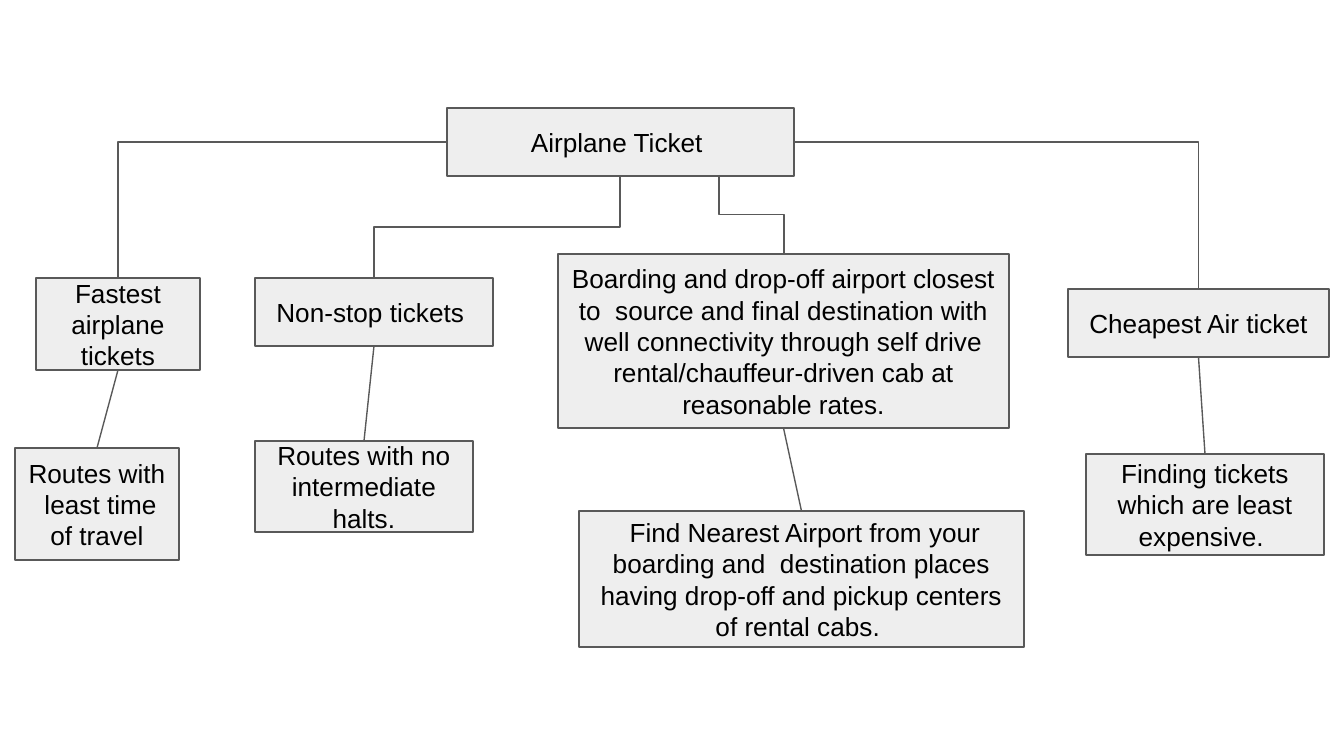
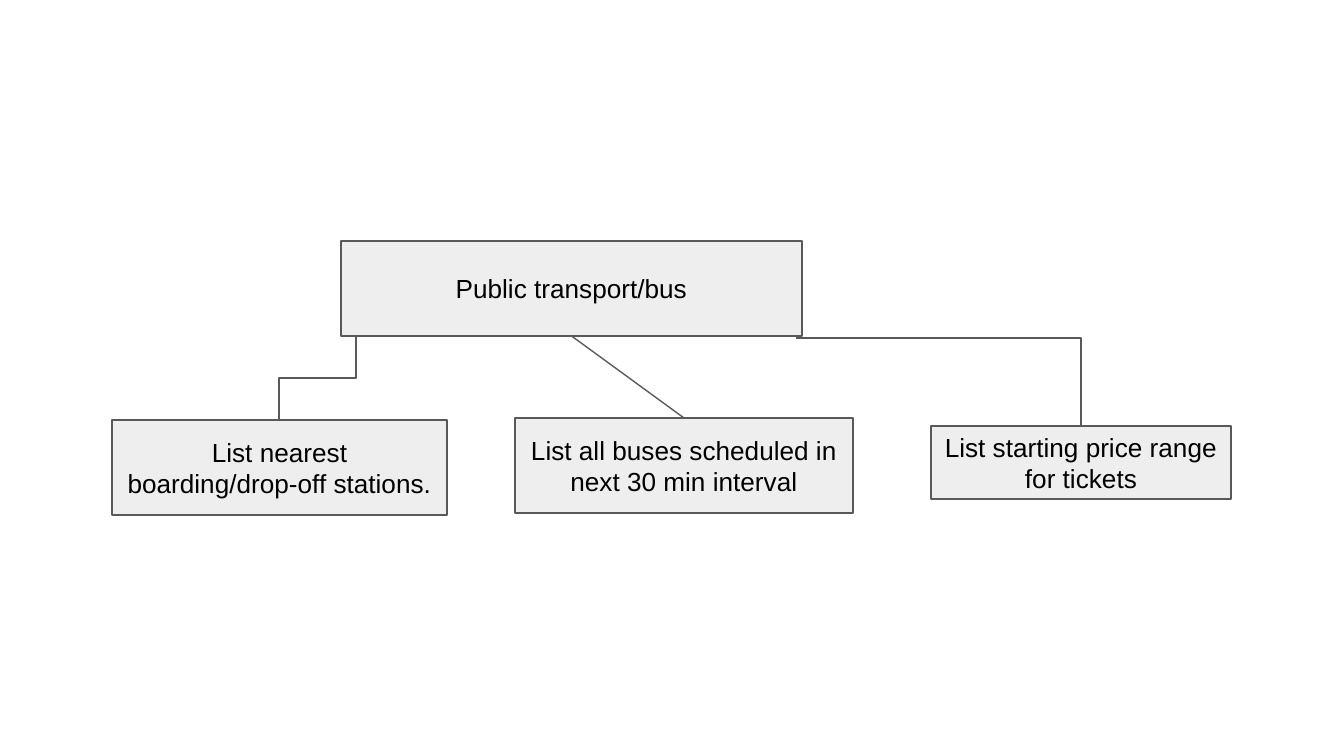
from lxml import etree
from pptx import Presentation
from pptx.dml.color import RGBColor
from pptx.enum.shapes import MSO_CONNECTOR, MSO_SHAPE
from pptx.enum.text import MSO_ANCHOR, PP_ALIGN
from pptx.oxml.ns import qn
from pptx.util import Inches, Pt

RECTANGLE = MSO_SHAPE.RECTANGLE
STRAIGHT, ELBOW = MSO_CONNECTOR.STRAIGHT, MSO_CONNECTOR.ELBOW
MIDDLE, CENTER = MSO_ANCHOR.MIDDLE, PP_ALIGN.CENTER
TOP, LEFT, BOTTOM, RIGHT = range(4)

BOX_FILL = RGBColor(0xEE, 0xEE, 0xEE)
OUTLINE = RGBColor(0x59, 0x59, 0x59)
INK = RGBColor(0, 0, 0)
FONT = "Arial"
TEXT_SIZE = Pt(14)
LINE_WIDTH = Pt(0.75)
INSET = Inches(0.1)
PIXELS_PER_INCH = 134.4
BLANK_LAYOUT = 6


def px(length):
    return Inches(length / PIXELS_PER_INCH)


class TreeDeck:
    def __init__(self):
        self.deck = Presentation()
        self.deck.slide_width = px(1344)
        self.deck.slide_height = px(756)
        self.slide = None

    def new_slide(self):
        layout = self.deck.slide_layouts[BLANK_LAYOUT]
        self.slide = self.deck.slides.add_slide(layout)

    def box(self, wording, left, top, width, height):
        node = self.slide.shapes.add_shape(
            RECTANGLE, px(left), px(top), px(width), px(height))
        node.shadow.inherit = False
        node.fill.solid()
        node.fill.fore_color.rgb = BOX_FILL
        node.line.color.rgb = OUTLINE
        node.line.width = LINE_WIDTH
        frame = node.text_frame
        frame.word_wrap = True
        frame.vertical_anchor = MIDDLE
        frame.margin_left = frame.margin_right = INSET
        frame.margin_top = frame.margin_bottom = INSET
        paragraph = frame.paragraphs[0]
        paragraph.alignment = CENTER
        run = paragraph.add_run()
        run.text = wording
        run.font.name = FONT
        run.font.size = TEXT_SIZE
        run.font.color.rgb = INK
        return node

    def connector(self, kind, x1, y1, x2, y2):
        link = self.slide.shapes.add_connector(
            kind, px(x1), px(y1), px(x2), px(y2))
        link.line.color.rgb = OUTLINE
        link.line.width = LINE_WIDTH
        etree.SubElement(link._element.spPr, qn("a:effectLst"))
        return link

    def branch(self, parent, child):
        link = self.connector(STRAIGHT, 0, 0, 1, 1)
        link.begin_connect(parent, BOTTOM)
        link.end_connect(child, TOP)

    def corner(self, x1, y1, x2, y2):
        link = self.connector(ELBOW, x1, y1, x2, y2)
        link._element.spPr.find(qn("a:prstGeom")).set("prst", "bentConnector2")
        return link

    def side_branch(self, parent, side, child):
        link = self.corner(0, 0, 1, 1)
        link.begin_connect(parent, side)
        link.end_connect(child, TOP)

    def step(self, x1, y1, x2, y2):
        middle_x, middle_y = (x1 + x2) / 2, (y1 + y2) / 2
        half_drop, half_run = (y2 - y1) / 2, abs(x2 - x1) / 2
        rightward = x2 > x1
        reach = -half_drop if rightward else half_drop
        link = self.connector(
            ELBOW, middle_x - reach, middle_y - half_run,
            middle_x + reach, middle_y + half_run)
        degrees = 270 if rightward else 90
        xfrm = link._element.spPr.find(qn("a:xfrm"))
        xfrm.set("rot", str(degrees * 60000))


tree = TreeDeck()

tree.new_slide()
airplane = tree.box("Airplane Ticket ", 447, 108, 347, 68)
fastest = tree.box("Fastest airplane tickets", 36, 278, 164, 92)
nonstop = tree.box("Non-stop tickets ", 255, 278, 238, 68)
closest = tree.box(
    "Boarding and drop-off airport closest to  source and final destination "
    "with well connectivity through self drive rental/chauffeur-driven cab "
    "at reasonable rates.", 558, 254, 451, 174)
cheapest = tree.box("Cheapest Air ticket", 1068, 289, 261, 68)
least_time = tree.box("Routes with  least time of travel", 15, 448, 164, 112)
no_halts = tree.box("Routes with no intermediate halts.", 255, 441, 218, 91)
nearest = tree.box(
    " Find Nearest Airport from your boarding and  destination places "
    "having drop-off and pickup centers of rental cabs. ", 579, 511, 445, 136)
least_cost = tree.box(
    "Finding tickets which are least expensive. ", 1086, 454, 238, 101)

tree.side_branch(airplane, LEFT, fastest)
tree.step(620, 176, 374, 278)
tree.step(719, 175, 784, 254)
tree.side_branch(airplane, RIGHT, cheapest)
for option, detail in ((fastest, least_time), (nonstop, no_halts),
                       (closest, nearest), (cheapest, least_cost)):
    tree.branch(option, detail)

tree.new_slide()
bus = tree.box("Public transport/bus", 341, 241, 461, 95)
tree.box("List nearest boarding/drop-off stations.", 112, 420, 335, 95)
schedule = tree.box(
    "List all buses scheduled in next 30 min interval", 515, 418, 338, 95)
tree.box("List starting price range for tickets", 931, 426, 300, 73)

tree.step(356, 336, 279, 420)
tree.branch(bus, schedule)
tree.corner(796, 338, 1081, 426)

tree.deck.save("out.pptx")
